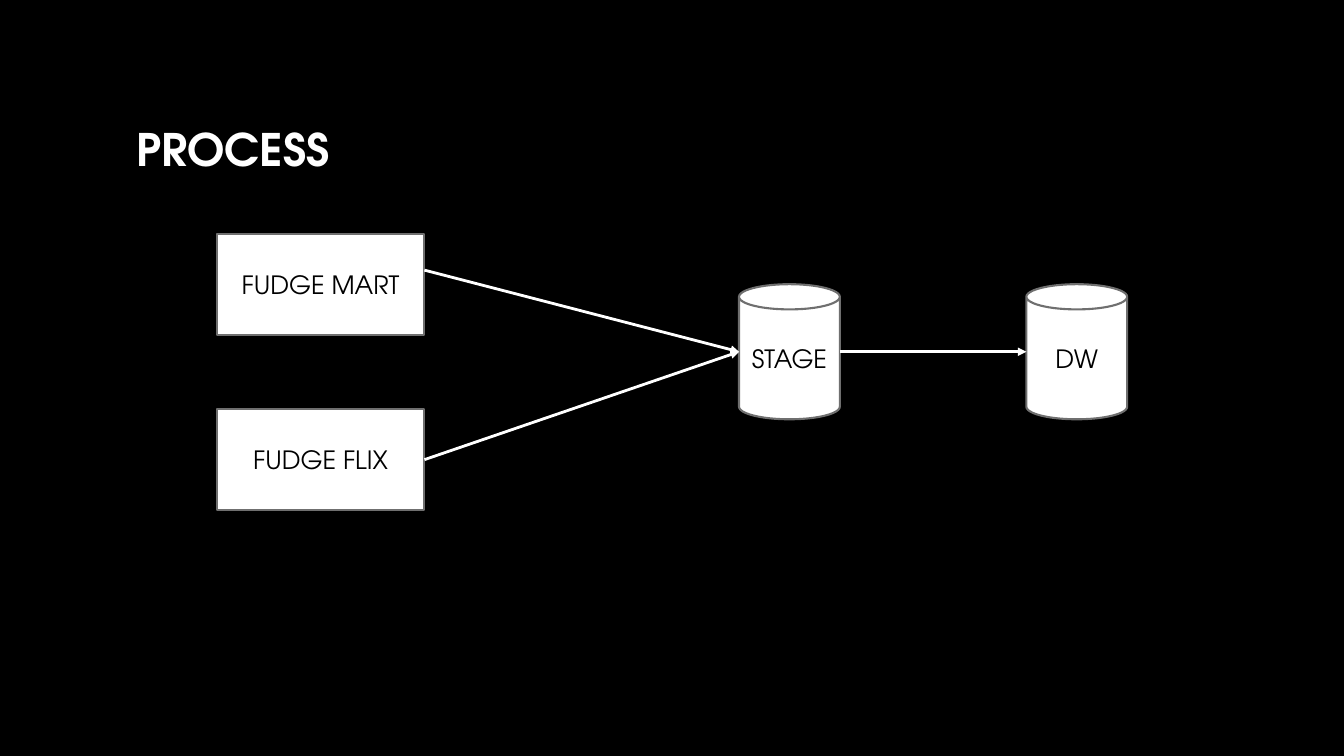
from lxml.etree import SubElement
from pptx import Presentation
from pptx.dml.color import RGBColor
from pptx.enum.shapes import MSO_CONNECTOR as Link, MSO_SHAPE as Shape
from pptx.enum.text import MSO_ANCHOR as Anchor, MSO_AUTO_SIZE as Fit, PP_ALIGN as Align
from pptx.oxml.ns import qn
from pptx.util import Inches, Pt

HEADING = "PROCESS"
SOURCES = ["FUDGE MART", "FUDGE FLIX"]
STORES = ["STAGE", "DW"]
FLOWS = [("FUDGE MART", "STAGE", 0.36), ("FUDGE FLIX", "STAGE", 0.5), ("STAGE", "DW", 0.5)]

FONT = "TeX Gyre Adventor"
BLACK, WHITE, GREY = "000000", "FFFFFF", "6F6F6F"
LABEL = {"name": FONT, "size": Pt(18), "bold": False}
TITLE = {"name": FONT, "size": Pt(32), "bold": True}

SOURCE_SIZE, SOURCE_LEFT, SOURCE_TOP, SOURCE_STEP = (2.06, 1), 2.15, 2.32, 1.74
STORE_SIZE, STORE_LEFT, STORE_TOP, STORE_STEP = (1, 1.34), 7.33, 2.82, 2.85


def color(value):
    return RGBColor.from_string(value)


def write(frame, words, align, ink, style):
    frame.text = words
    frame.word_wrap = True
    frame.auto_size = Fit.NONE
    frame.vertical_anchor = Anchor.MIDDLE
    paragraph = frame.paragraphs[0]
    paragraph.alignment = align
    font = paragraph.runs[0].font
    for key, value in style.items():
        setattr(font, key, value)
    font.color.rgb = color(ink)


def add_node(slide, kind, label, left, top, size):
    node = slide.shapes.add_shape(kind, *map(Inches, (left, top, *size)))
    node.shadow.inherit = False
    node.fill.solid()
    node.fill.fore_color.rgb = color(WHITE)
    node.line.color.rgb = color(GREY)
    node.line.width = Pt(1.5)
    write(node.text_frame, label, Align.CENTER, BLACK, LABEL)
    return node


def add_flow(slide, start, end, share):
    flow = slide.shapes.add_connector(
        Link.STRAIGHT,
        start.left + start.width, start.top + int(start.height * share),
        end.left, end.top + end.height // 2)
    if share == 0.5 and start.auto_shape_type == Shape.RECTANGLE:
        flow.begin_connect(start, 3)
    flow.line.color.rgb = color(WHITE)
    flow.line.width = Pt(2)
    SubElement(flow.line._get_or_add_ln(), qn("a:tailEnd"), type="triangle")
    SubElement(flow._element.spPr, qn("a:effectLst"))


def main():
    deck = Presentation()
    deck.slide_width, deck.slide_height = Inches(13.33), Inches(7.5)
    slide = deck.slides.add_slide(deck.slide_layouts[5])
    slide.background.fill.solid()
    slide.background.fill.fore_color.rgb = color(BLACK)

    heading = slide.shapes.title
    heading.left, heading.top, heading.width, heading.height = map(Inches, (1.25, 0.67, 10.83, 1.61))
    write(heading.text_frame, HEADING, Align.LEFT, WHITE, TITLE)

    nodes = {}
    for row, label in enumerate(SOURCES):
        nodes[label] = add_node(slide, Shape.RECTANGLE, label, SOURCE_LEFT,
                                SOURCE_TOP + row * SOURCE_STEP, SOURCE_SIZE)
    for column, label in enumerate(STORES):
        nodes[label] = add_node(slide, Shape.CAN, label, STORE_LEFT + column * STORE_STEP,
                                STORE_TOP, STORE_SIZE)
    for start, end, share in FLOWS:
        add_flow(slide, nodes[start], nodes[end], share)

    deck.save("out.pptx")


if __name__ == "__main__":
    main()
